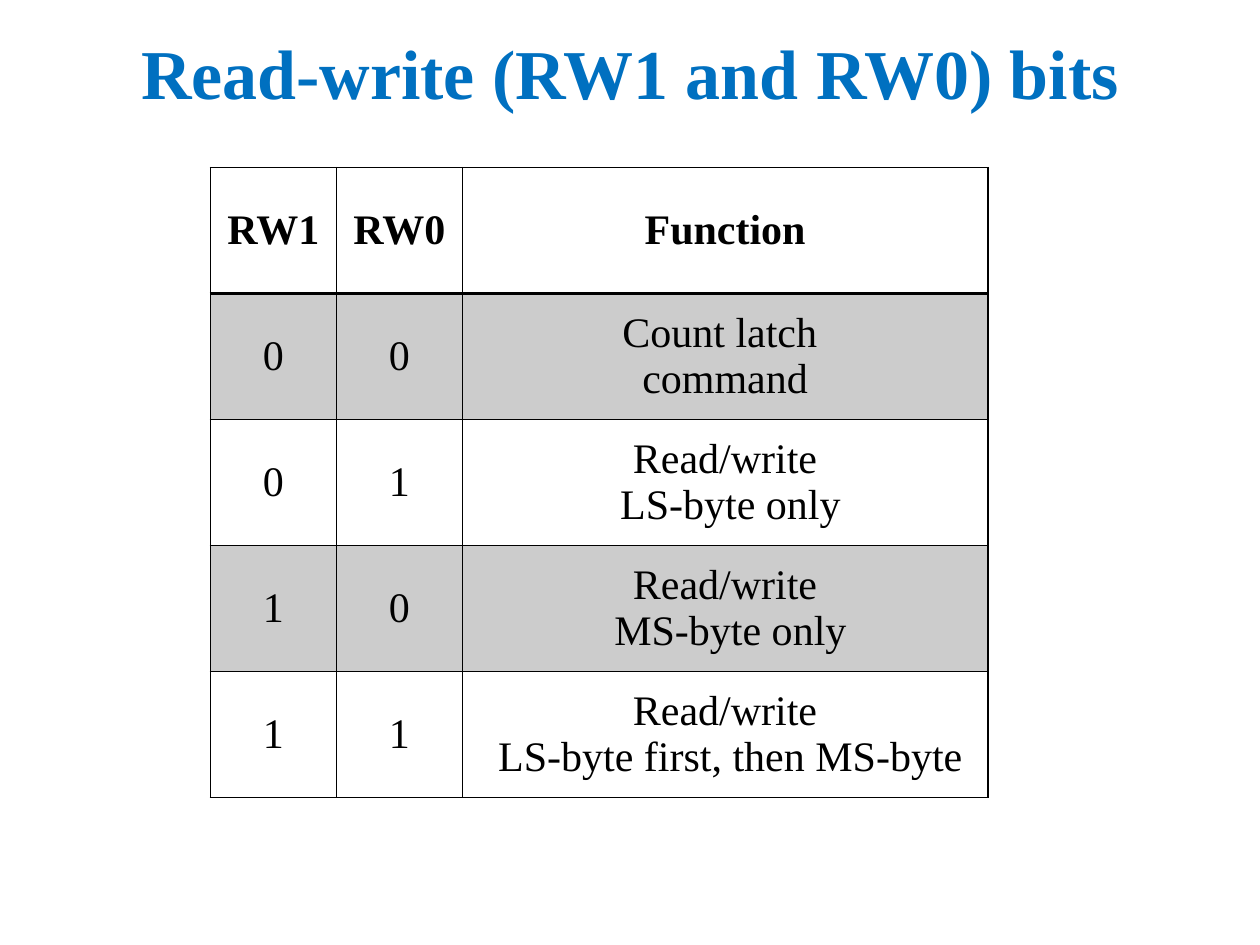
"""Build a slide with a table of the read-write control bits."""
from lxml.etree import SubElement
from pptx import Presentation
from pptx.dml.color import RGBColor
from pptx.enum.text import MSO_ANCHOR, PP_ALIGN
from pptx.oxml.ns import qn
from pptx.util import Inches, Pt

TITLE = "Read-write (RW1 and RW0) bits"
ROWS = [
    ("RW1", "RW0", "Function"),
    ("0", "0", "Count latch \ncommand"),
    ("0", "1", "Read/write\n LS-byte only"),
    ("1", "0", "Read/write\n MS-byte only"),
    ("1", "1", "Read/write\n LS-byte first, then MS-byte"),
]
COL_WIDTHS = (1, 1, 4.17)
ROW_HEIGHT = 1
BLUE = RGBColor(0x00, 0x70, 0xC0)
BLACK = RGBColor(0x00, 0x00, 0x00)
WHITE = RGBColor(0xFF, 0xFF, 0xFF)
GREY = RGBColor(0xCC, 0xCC, 0xCC)
TITLE_FONT = {"name": "Times New Roman", "size": Pt(40), "bold": True}
CELL_FONT = {"name": "Times New Roman", "size": Pt(24)}


def format_text(tf, color, fmt):
    for p in tf.paragraphs:
        p.alignment = PP_ALIGN.CENTER
        for r in p.runs:
            r.font.color.rgb = color
            for name, value in fmt.items():
                setattr(r.font, name, value)


def add_borders(cell, widths):
    tc_pr = cell._tc.get_or_add_tcPr()
    for side, width in widths.items():
        ln = SubElement(tc_pr, qn(f"a:ln{side}"), w=str(Pt(width)))
        fill = SubElement(ln, qn("a:solidFill"))
        SubElement(fill, qn("a:srgbClr"), val=str(BLACK))


def add_title(s):
    sp = s.shapes.title
    sp.left, sp.top, sp.width, sp.height = map(Inches, (0.5, 0.05, 9, 1.03))
    tf = sp.text_frame
    tf.text = TITLE
    tf.vertical_anchor = MSO_ANCHOR.MIDDLE
    format_text(tf, BLUE, TITLE_FONT)


def add_bits_table(s):
    table = s.shapes.add_table(
        len(ROWS), len(COL_WIDTHS), Inches(1.67), Inches(1.33),
        Inches(sum(COL_WIDTHS)), Inches(ROW_HEIGHT * len(ROWS))).table
    table.horz_banding = False
    for col, width in zip(table.columns, COL_WIDTHS):
        col.width = Inches(width)
    for i, (row, texts) in enumerate(zip(table.rows, ROWS)):
        row.height = Inches(ROW_HEIGHT)
        top, bottom = 2 if i == 1 else 1, 2 if i == 0 else 1
        for cell, text in zip(row.cells, texts):
            cell.text = text
            cell.vertical_anchor = MSO_ANCHOR.MIDDLE
            add_borders(cell, {"L": 1, "R": 1, "T": top, "B": bottom})
            cell.fill.solid()
            cell.fill.fore_color.rgb = GREY if i % 2 else WHITE
            format_text(cell.text_frame, BLACK, {**CELL_FONT, "bold": i == 0})


def main():
    prs = Presentation()
    prs.slide_width, prs.slide_height = Inches(10), Inches(7.5)
    s = prs.slides.add_slide(prs.slide_layouts[5])
    add_title(s)
    add_bits_table(s)
    prs.save("out.pptx")


if __name__ == "__main__":
    main()
